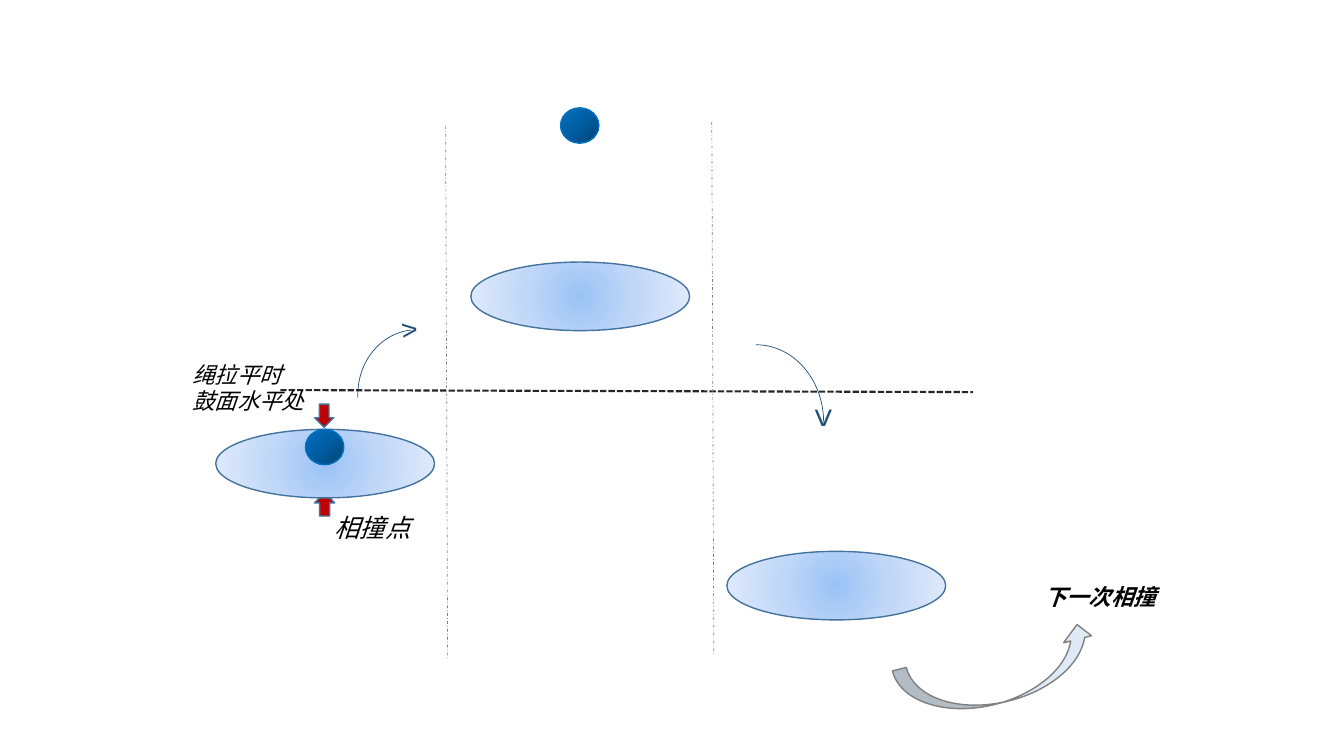
"""Draw the drum and ball collision diagram on one slide."""
from lxml import etree
from pptx import Presentation
from pptx.dml.color import RGBColor
from pptx.enum.dml import MSO_LINE
from pptx.enum.shapes import MSO_CONNECTOR, MSO_SHAPE
from pptx.oxml.ns import qn
from pptx.util import Pt

PX = 9144
OVAL, DOWN, ARC = MSO_SHAPE.OVAL, MSO_SHAPE.DOWN_ARROW, MSO_SHAPE.ARC
CURVE, LINE = MSO_SHAPE.CURVED_RIGHT_ARROW, MSO_CONNECTOR.STRAIGHT
DASH, DOT = MSO_LINE.SQUARE_DOT, MSO_LINE.DASH_DOT
DRUM = ("9AC3F5", "C2D8F8", "E1EBFB"), (50, 50, 50, 50)
BALL = ("004272", "005EA2", "0070C0"), (100, 100, 0, 0)
RED, EDGE, BLUE, NAVY, GREY = "C00000", "43739E", "0070C0", "1F4E79", "808080"

prs = Presentation()
prs.slide_width, prs.slide_height = 1333 * PX, 750 * PX
slide = prs.slides.add_slide(prs.slide_layouts[6])


def paint(color, code):
    color.rgb = RGBColor.from_string(code)


def draw(kind, box, fill, edge, width=1, turn=0, flip=None):
    shape = slide.shapes.add_shape(kind, *[n * PX for n in box])
    shape.shadow.inherit = False
    shape.rotation = turn
    paint(shape.line.color, edge)
    shape.line.width = Pt(width)
    props = shape._element.spPr
    if flip:
        props.find(qn("a:xfrm")).set(flip, "1")
    if fill is None:
        shape.fill.background()
    elif isinstance(fill, str):
        shape.fill.solid()
        paint(shape.fill.fore_color, fill)
    else:
        codes, focus = fill
        grad = etree.Element(qn("a:gradFill"), rotWithShape="1")
        stops = etree.SubElement(grad, qn("a:gsLst"))
        for i, code in enumerate(codes):
            stop = etree.SubElement(stops, qn("a:gs"), pos=str(i * 50000))
            etree.SubElement(stop, qn("a:srgbClr"), val=code)
        track = etree.SubElement(grad, qn("a:path"), {"path": "circle"})
        sides = {k: str(n * 1000) for k, n in zip("ltrb", focus)}
        etree.SubElement(track, qn("a:fillToRect"), sides)
        props.find(qn("a:prstGeom")).addnext(grad)
    return shape


draw(DOWN, (312, 489, 20, 23), RED, EDGE, flip="flipV")
for left, top in (214, 426), (467, 260), (721, 547):
    draw(OVAL, (left, top, 217, 68), DRUM, EDGE)
for left, top in (303, 426), (556, 107):
    draw(OVAL, (left, top, 38, 35), BALL, BLUE)
draw(DOWN, (312, 401, 19, 23), RED, EDGE)
draw(CURVE, (962, 567, 57, 203), "DEEBF7", GREY, turn=255.9)
draw(ARC, (673, 352, 154, 134), None, NAVY, 0.5, 90, "flipH")
rise = draw(ARC, (355, 327, 120, 132), None, NAVY, 0.5, 353.7, "flipH")
rise.adjustments[0], rise.adjustments[1] = 162, 212.911

for ends, code, width, dash in (
    ((278, 387, 965, 389), "262626", 1.5, DASH),
    ((442, 125, 444, 655), GREY, 0.5, DOT),
    ((706, 121, 708, 651), GREY, 0.5, DOT),
):
    rule = slide.shapes.add_connector(LINE, *[n * PX for n in ends])
    paint(rule.line.color, code)
    rule.line.width = Pt(width)
    rule.line.dash_style = dash
    etree.SubElement(rule._element.spPr, qn("a:effectLst"))

for lines, box, size, font, code, bold, slant, turn in (
    (["相撞点"], (322, 503, 129, 40), 18, "Calibri", "000000", False, True, 0),
    (["绳拉平时", "鼓面水平处"], (181, 353, 167, 64), 16, "Calibri", "000000", False, True, 0),
    (["下一次相撞"], (1026, 574, 176, 37), 16, "Calibri", "000000", True, True, 0),
    ([">"], (787, 400, 62, 52), 24, "Arial", NAVY, False, False, 90),
    ([">"], (388, 303, 51, 44), 20, "Arial", NAVY, False, False, 353.7),
):
    label = slide.shapes.add_textbox(*[n * PX for n in box])
    label.rotation = turn
    frame = label.text_frame
    frame.word_wrap = True
    for i, line in enumerate(lines):
        para = frame.add_paragraph() if i else frame.paragraphs[0]
        run = para.add_run()
        run.text = line
        run.font.size, run.font.name = Pt(size), font
        run.font.bold, run.font.italic = bold, slant
        paint(run.font.color, code)

prs.save("out.pptx")
